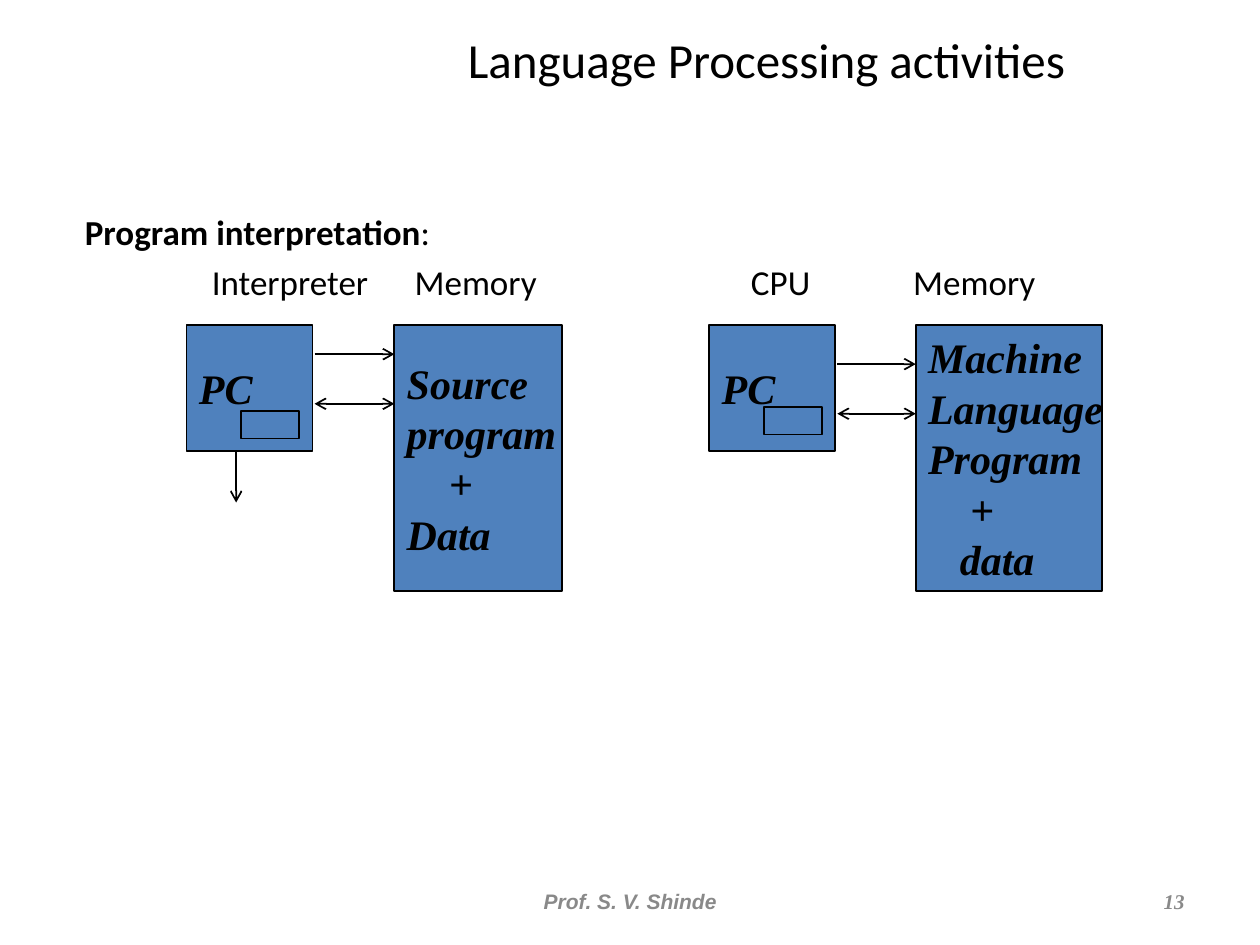
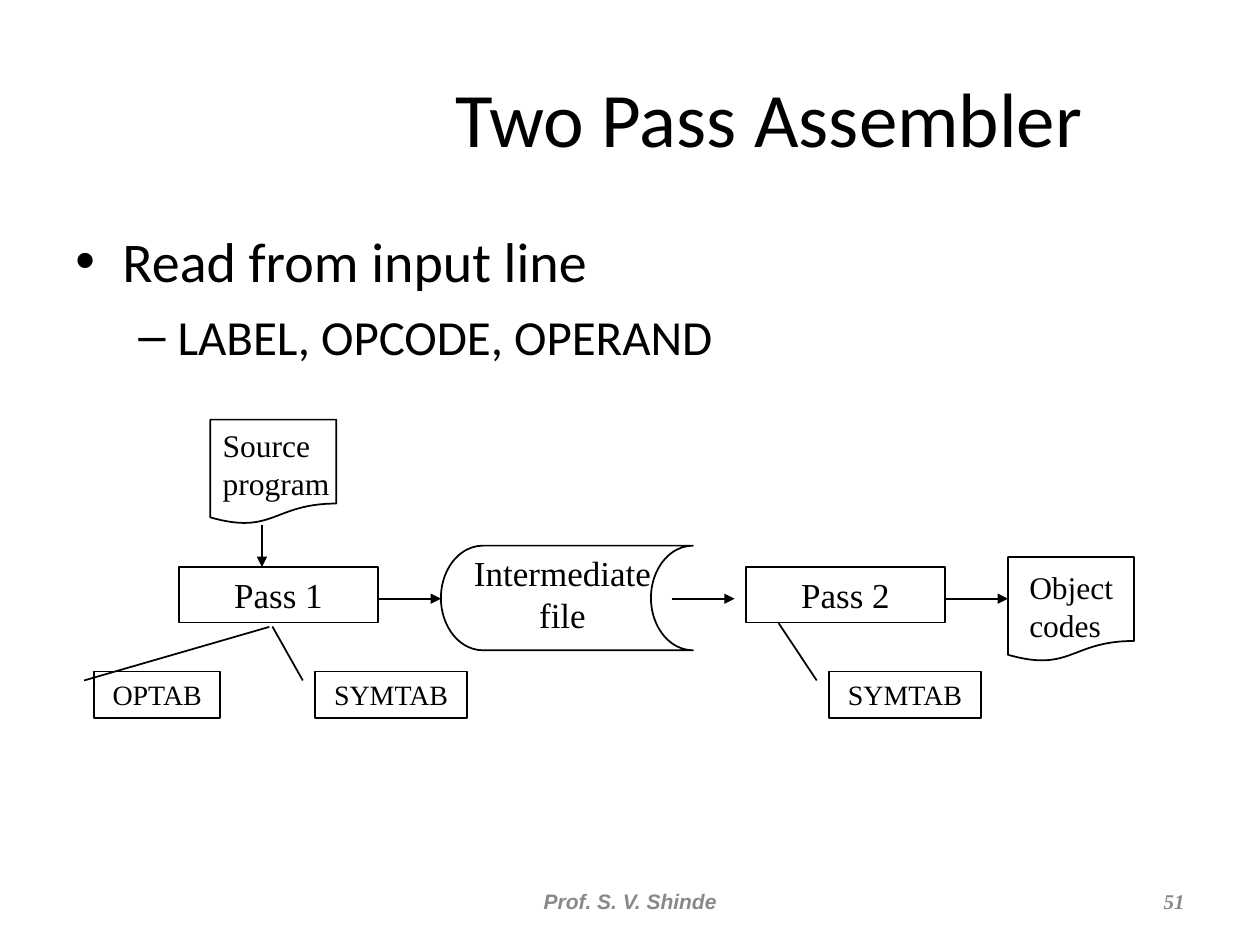
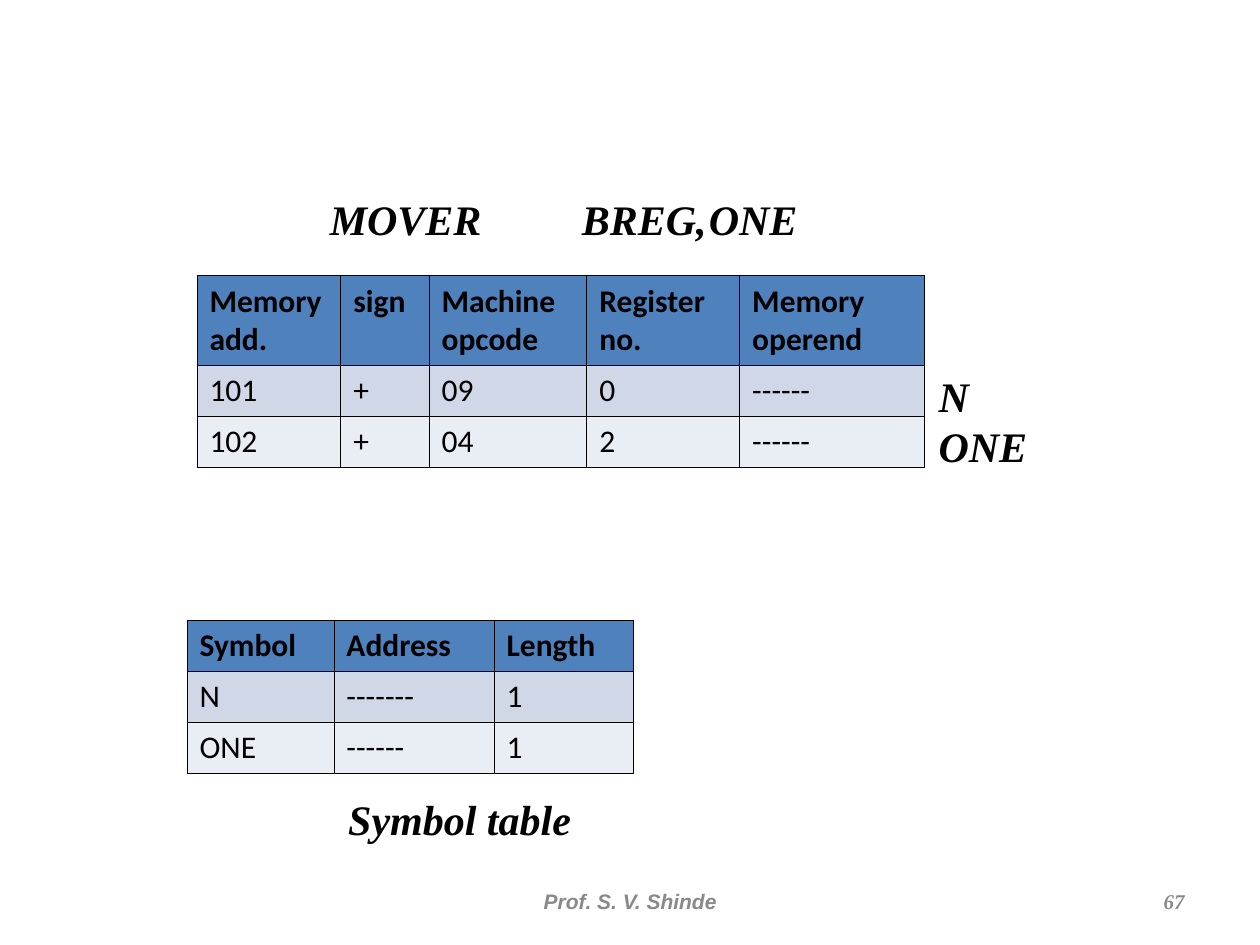
import pptx
import pptx.dml.color
import pptx.enum.shapes
import pptx.enum.text
import pptx.oxml
import pptx.oxml.ns
import pptx.util
from lxml import etree

Cm, Pt = pptx.util.Cm, pptx.util.Pt
SHAPE = pptx.enum.shapes.MSO_SHAPE
ALIGN = pptx.enum.text.PP_ALIGN
ANCHOR = pptx.enum.text.MSO_ANCHOR
AUTOSIZE = pptx.enum.text.MSO_AUTO_SIZE
qn = pptx.oxml.ns.qn

# Shared look
COLORS = {"ink": "000000", "blue": "4F81BD", "footer": "898989",
          "odd row": "D0D8E8", "even row": "E9EDF4"}
BODY = {"name": "Calibri", "size": Pt(20), "bold": False, "italic": False}
SERIF = {**BODY, "name": "Times New Roman"}
STRONG = {**SERIF, "size": Pt(24), "bold": True, "italic": True}
FOOTER = {**STRONG, "size": Pt(12)}


def rgb(color):
    return pptx.dml.color.RGBColor.from_string(COLORS[color])


def add_span(para, text, style, color="ink"):
    span = para.add_run()
    span.text = text
    for name, value in style.items():
        setattr(span.font, name, value)
    span.font.color.rgb = rgb(color)


def write(frame, lines, style, color="ink", align=ALIGN.LEFT, indents=None):
    """One paragraph per line; indents maps a line's text to its left indent in cm."""
    for number, line in enumerate(lines):
        para = frame.add_paragraph() if number else frame.paragraphs[0]
        para.alignment = align
        if indents and line in indents:
            para._p.get_or_add_pPr().set("marL", str(Cm(indents[line])))
        add_span(para, line, style, color)


def add_tabs(para, stops):
    tab_list = etree.SubElement(para._p.get_or_add_pPr(), qn("a:tabLst"))
    for stop in stops:
        etree.SubElement(tab_list, qn("a:tab"), pos=str(Cm(stop)), algn="l")


def add_bullet(para, mark, left, hanging):
    props = para._p.get_or_add_pPr()
    props.set("marL", str(Cm(left)))
    props.set("indent", str(-Cm(hanging)))
    etree.SubElement(props, qn("a:buFont"), typeface="Arial")
    etree.SubElement(props, qn("a:buChar"), char=mark)


def add_text(page, place, lines=(), style=BODY, **options):
    box = page.shapes.add_textbox(*map(Cm, place))
    frame = box.text_frame
    frame.word_wrap = True
    write(frame, lines, style, **options)
    return frame


def add_box(page, place, lines=(), style=SERIF, kind=SHAPE.RECTANGLE, fill=None,
            anchor=ANCHOR.TOP, wrap=True, **options):
    box = page.shapes.add_shape(kind, *map(Cm, place))
    box.shadow.inherit = False
    if fill:
        box.fill.solid()
        box.fill.fore_color.rgb = rgb(fill)
    else:
        box.fill.background()
    box.line.color.rgb = rgb("ink")
    box.line.width = Pt(1)
    box.text_frame.word_wrap = wrap
    box.text_frame.vertical_anchor = anchor
    write(box.text_frame, lines, style, **options)
    return box


def add_arrow(page, start, end, head="triangle", both=False):
    arrow = page.shapes.add_connector(pptx.enum.shapes.MSO_CONNECTOR.STRAIGHT,
                                      *map(Cm, (*start, *end)))
    arrow.line.color.rgb = rgb("ink")
    arrow.line.width = Pt(1)
    line = arrow.line._get_or_add_ln()
    if both:
        etree.SubElement(line, qn("a:headEnd"), type=head)
    etree.SubElement(line, qn("a:tailEnd"), type=head)
    etree.SubElement(arrow._element.spPr, qn("a:effectLst"))


def add_border(cell):
    props = cell._tc.get_or_add_tcPr()
    for position, side in enumerate(("lnL", "lnR", "lnT", "lnB")):
        line = etree.Element(qn(f"a:{side}"), w=str(Pt(0.45)))
        fill = etree.SubElement(line, qn("a:solidFill"))
        etree.SubElement(fill, qn("a:srgbClr"), val=COLORS["ink"])
        props.insert(position, line)


def add_grid(page, left, top, widths, heights, rows):
    grid = page.shapes.add_table(len(rows), len(widths), Cm(left), Cm(top),
                                 Cm(sum(widths)), Cm(sum(heights))).table
    for column, width in zip(grid.columns, widths):
        column.width = Cm(width)
    for number, (row, height, texts) in enumerate(zip(grid.rows, heights, rows)):
        row.height = Cm(height)
        fill = ("blue", "odd row", "even row")[number]
        for cell, text in zip(row.cells, texts):
            cell.fill.solid()
            cell.fill.fore_color.rgb = rgb(fill)
            add_border(cell)
            write(cell.text_frame, [text],
                  {**BODY, "size": Pt(18), "bold": number == 0})


def add_page(deck, number, title=None, place=None, size=None):
    page = deck.slides.add_slide(deck.slide_layouts[5 if title else 6])
    if title:
        holder = page.shapes.title
        holder.left, holder.top, holder.width, holder.height = map(Cm, place)
        holder.text_frame.auto_size = AUTOSIZE.NONE
        holder.text_frame.vertical_anchor = ANCHOR.MIDDLE
        write(holder.text_frame, [title], {**BODY, "size": Pt(size)}, align=ALIGN.CENTER)
    # Footer: author and page number
    author = add_text(page, (8.68, 17.65, 8.05, 1.02), ["Prof. S. V. Shinde"],
                      {**FOOTER, "name": "Arial"}, color="footer", align=ALIGN.CENTER)
    folio = add_text(page, (18.21, 17.65, 5.92, 1.02), [str(number)], FOOTER,
                     color="footer", align=ALIGN.RIGHT)
    author.vertical_anchor = folio.vertical_anchor = ANCHOR.MIDDLE
    return page


def add_machine(page, pc_left, memory_left, memory_width, contents, indents,
                register_top, arrow_top):
    """A processor with its register, joined by two arrows to its memory."""
    top, side = 6.55, 2.54
    look = {"style": STRONG, "fill": "blue", "anchor": ANCHOR.MIDDLE, "wrap": False}
    add_box(page, (memory_left, top, memory_width, 5.36), contents, indents=indents, **look)
    add_box(page, (pc_left, top, side, side), ["PC"], **look)
    add_box(page, (pc_left + 1.1, register_top, 1.17, 0.56), fill="blue")
    for y, both in ((arrow_top, False), (arrow_top + 1, True)):
        add_arrow(page, (pc_left + 2.58, y), (memory_left, y), "arrow", both)


def interpretation_page(deck):
    page = add_page(deck, 13, "Language Processing activities", (6.98, 0, 16.94, 2.36), 28)
    frame = add_text(page, (1.46, 4.11, 22.7, 2.3))
    heading = frame.paragraphs[0]
    add_span(heading, "Program interpretation", {**BODY, "bold": True})
    add_span(heading, ":", BODY)
    labels = frame.add_paragraph()
    add_tabs(labels, (2.56, 6.65, 13.43, 16.7))
    labels.space_before = Pt(5)
    add_span(labels, "\tInterpreter\tMemory\tCPU\tMemory", BODY)

    add_machine(page, 3.76, 7.95, 3.38, ["Source", "program", "+", "Data"],
                {"+": 0.85}, 8.28, 7.14)
    add_arrow(page, (4.76, 9.12), (4.76, 10.13), "arrow")
    add_machine(page, 14.3, 18.46, 3.76, ["Machine", "Language", "Program", "+", "data"],
                {"+": 0.85, "data": 0.64}, 8.2, 7.34)


def assembler_page(deck):
    page = add_page(deck, 51, "Two Pass Assembler", (7.03, 0.76, 16.94, 3.18), 44)
    frame = add_text(page, (1.27, 4.45, 22.86, 3.8))
    first, second = frame.paragraphs[0], frame.add_paragraph()
    add_bullet(first, "•", 0.95, 0.95)
    add_span(first, "Read from input line", {**BODY, "size": Pt(32)})
    add_bullet(second, "–", 2.06, 0.79)
    second.space_before = Pt(7)
    add_span(second, "LABEL, OPCODE, OPERAND", {**BODY, "size": Pt(28)})

    # Passes and the file between them
    for left, label in ((3.61, "Pass 1"), (15.04, "Pass 2")):
        add_box(page, (left, 11.43, 4.01, 1.12), [label], align=ALIGN.CENTER)
    add_box(page, (8.89, 11, 5.08, 2.11), kind=SHAPE.FLOWCHART_STORED_DATA)
    add_text(page, (9.09, 11, 4.5, 1.96), ["Intermediate", "file"], SERIF,
             align=ALIGN.CENTER)

    # Input and output documents
    small = {**SERIF, "size": Pt(18)}
    for left, top, label_left, label_top, lines in (
            (4.24, 8.46, 4.24, 8.46, ["Source", "program"]),
            (20.32, 11.23, 20.5, 11.33, ["Object", "codes"])):
        add_box(page, (left, top, 2.54, 2.11), kind=SHAPE.FLOWCHART_DOCUMENT)
        add_text(page, (label_left, label_top, 3, 1.78), lines, small)

    # Flow
    add_arrow(page, (5.28, 10.59), (5.28, 11.43))
    for left in (7.62, 13.54, 19.05):
        add_arrow(page, (left, 12.07), (left + 1.27, 12.07))

    # Tables used by each pass; pointer is the callout line's far end (y, x)
    for left, width, label, pointer in ((1.9, 2.54, "OPTAB", (-0.96, 1.39)),
                                        (6.35, 3.07, "SYMTAB", (-0.97, -0.28)),
                                        (16.71, 3.07, "SYMTAB", (-1.04, -0.33))):
        callout = add_box(page, (left, 13.54, width, 0.94), [label],
                          {**SERIF, "size": Pt(16)}, SHAPE.LINE_CALLOUT_1,
                          align=ALIGN.CENTER)
        for index, value in enumerate((0.19, -0.08, *pointer)):
            callout.adjustments[index] = value


def symbol_page(deck):
    page = add_page(deck, 67)
    frame = add_text(page, (6.4, 3.77, 11, 1.27))
    add_tabs(frame.paragraphs[0], (5.08, 7.64))
    add_span(frame.paragraphs[0], "MOVER\tBREG,\tONE", STRONG)
    add_grid(page, 3.97, 5.56, (2.9, 1.78, 3.18, 3.08, 3.73), (1.8, 1.03, 1.03), (
        ("Memory add.", "sign", "Machine opcode", "Register no.", "Memory operend"),
        ("101", "+", "09", "0", "------"),
        ("102", "+", "04", "2", "------")))
    add_text(page, (18.67, 7.34, 3, 2.29), ["N", "ONE"], STRONG)
    add_grid(page, 3.77, 12.5, (2.96, 3.23, 2.8), (1.03, 1.03, 1.03), (
        ("Symbol", "Address", "Length"),
        ("N", "-------", "1"),
        ("ONE", "------", "1")))
    add_text(page, (6.77, 15.88, 6, 1.27), ["Symbol table"], STRONG)


def main():
    deck = pptx.Presentation()
    deck.slide_width, deck.slide_height = Cm(25.4), Cm(19.05)
    interpretation_page(deck)
    assembler_page(deck)
    symbol_page(deck)
    deck.save("out.pptx")


if __name__ == "__main__":
    main()
